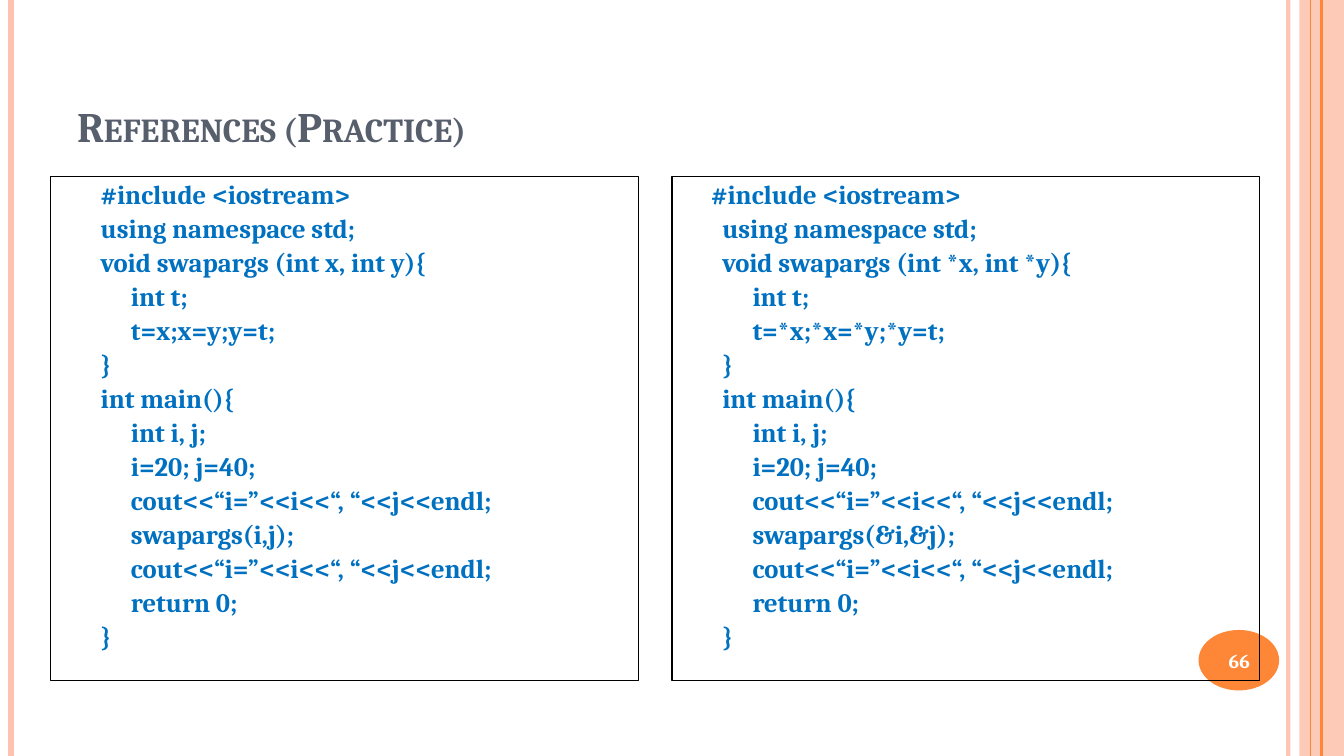
from pptx import Presentation
from pptx.dml.color import RGBColor as RGB
from pptx.enum.shapes import MSO_CONNECTOR as LINK, MSO_SHAPE as FORM
from pptx.enum.text import MSO_ANCHOR as ANCHOR, PP_ALIGN as ALIGN
from pptx.oxml.ns import qn
from pptx.util import Inches, Pt
from lxml.etree import SubElement as Sub

PEACH = RGB(0xFE, 0xC3, 0xAE)
ORANGE = RGB(0xFE, 0x86, 0x37)
SLATE = RGB(0x57, 0x5F, 0x6D)
BLUE = RGB(0x00, 0x70, 0xC0)
WHITE = RGB(0xFF, 0xFF, 0xFF)
BLACK = RGB(0x00, 0x00, 0x00)

deck = Presentation()
deck.slide_width = Inches(13.33)
deck.slide_height = Inches(7.5)
COL = deck.slide_width / 80
ROW = deck.slide_height / 30
slide = deck.slides.add_slide(deck.slide_layouts[6])
shapes = slide.shapes


def cells(x, y, w, h):
    return int(x * COL), int(y * ROW), int(w * COL), int(h * ROW)


def write(para, text, size=19, color=BLUE, align=ALIGN.LEFT, caps=False):
    para.alignment = align
    run = para.add_run()
    run.text = text
    font = run.font
    font.name, font.size, font.bold = "Cambria", Pt(size), True
    font.color.rgb = color
    if caps:
        run.font._element.set("cap", "small")


def fade(fill, share):
    tone = fill._xPr.find(".//" + qn("a:srgbClr"))
    Sub(tone, qn("a:alpha")).set("val", str(share * 1000))


band = shapes.add_shape(FORM.RECTANGLE, *cells(77.34, 0, 2.66, 30))
disc = shapes.add_shape(FORM.OVAL, *cells(71.34, 25, 4.8, 2.4))
for shape, color in [(band, PEACH), (disc, ORANGE)]:
    shape.shadow.inherit = False
    shape.fill.solid()
    shape.fill.fore_color.rgb = color
    shape.line.fill.background()
fade(band.fill, 87)

for x, color, width, share in [
    (76.68, PEACH, 3, 93),
    (0.66, PEACH, 4.5, 100),
    (78.66, ORANGE, 1.5, 100),
    (78, ORANGE, 0.75, 100),
]:
    rule = shapes.add_connector(LINK.STRAIGHT, int(x * COL), 0, int(x * COL), deck.slide_height)
    rule.line.color.rgb = color
    rule.line.width = Pt(width)
    Sub(rule._element.spPr, qn("a:effectLst"))
    if share < 100:
        fade(rule.line.fill, share)

for text, place, anchor, style in [
    ("References (Practice)", (4, 1.2, 67.33, 5), ANCHOR.BOTTOM,
     dict(size=30, color=SLATE, caps=True)),
    ("66", (71.1, 25.08, 5.34, 2.28), ANCHOR.MIDDLE,
     dict(size=14, color=WHITE, align=ALIGN.CENTER)),
]:
    frame = shapes.add_textbox(*cells(*place)).text_frame
    frame.word_wrap = True
    frame.vertical_anchor = anchor
    write(frame.paragraphs[0], text, **style)

CODE = """#include <iostream>
using namespace std;
void swapargs (int {0}x, int {0}y){{
\tint t;
\tt={0}x;{0}x={0}y;{0}y=t;
}}
int main(){{
\tint i, j;
\ti=20; j=40;
\tcout<<“i=”<<i<<“, “<<j<<endl;
\tswapargs({1}i,{1}j);
\tcout<<“i=”<<i<<“, “<<j<<endl;
\treturn 0;
}}"""

for x, star, amp, first in [(3, "", "", 0.4), (40, "*", "&", 0.29)]:
    box = shapes.add_shape(FORM.RECTANGLE, *cells(x, 7, 35, 20))
    box.shadow.inherit = False
    box.fill.background()
    box.line.color.rgb = BLACK
    box.line.width = Pt(0.75)
    frame = box.text_frame
    frame.word_wrap = True
    frame.vertical_anchor = ANCHOR.TOP
    for row, text in enumerate(CODE.format(star, amp).split("\n")):
        para = frame.add_paragraph() if row else frame.paragraphs[0]
        para.line_spacing = 0.9
        props = para._p.get_or_add_pPr()
        props.set("marL", str(Inches(0.7)))
        props.set("indent", str(Inches((0.4 if row else first) - 0.7)))
        if row:
            gap = Sub(props, qn("a:spcBef"))
            Sub(gap, qn("a:spcPct")).set("val", "20000")
        write(para, text)

deck.save("out.pptx")
